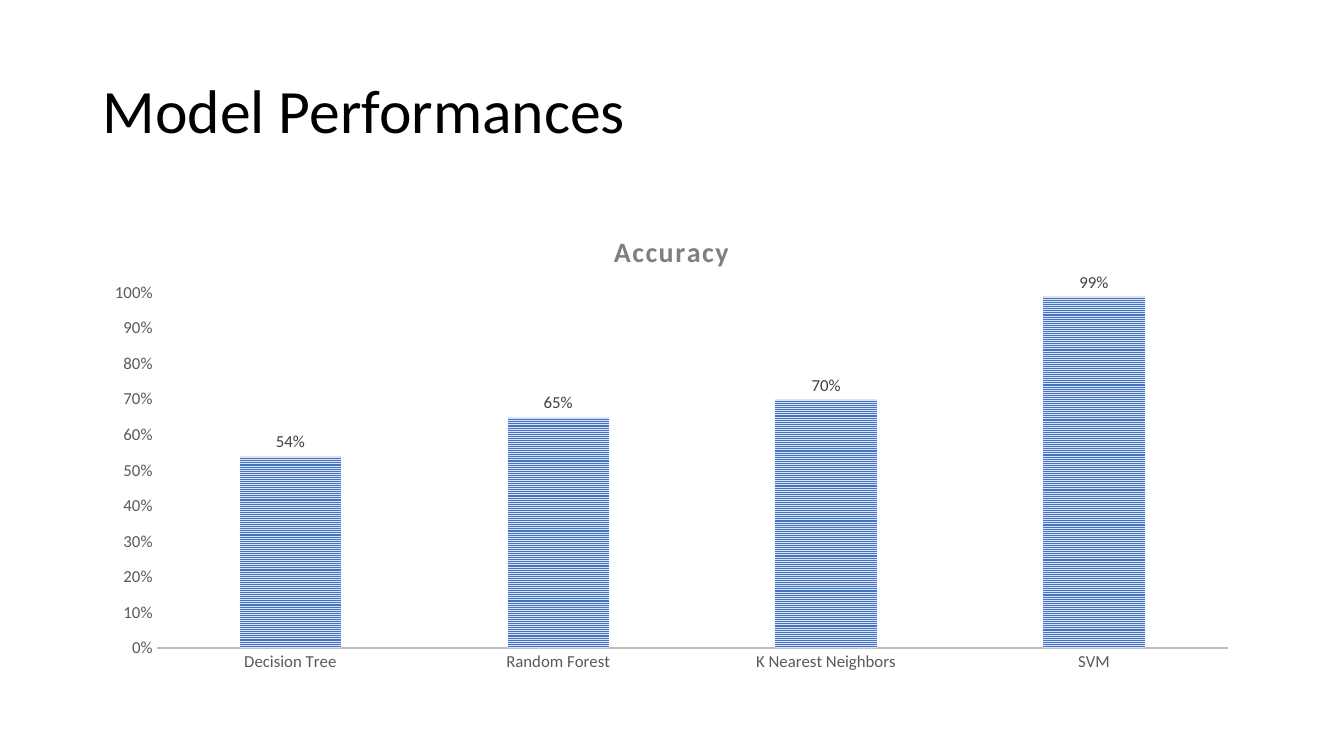
import pptx
import pptx.chart.data
import pptx.dml.color
import pptx.enum.chart
import pptx.enum.dml
import pptx.enum.text
import pptx.oxml
import pptx.oxml.ns
import pptx.util

WIDTH, HEIGHT = 13.33, 7.5
LEFT, CONTENT_WIDTH = 0.92, 11.5
FONT = "Calibri"
ACCURACIES = {
    "Decision Tree": 0.54,
    "Random Forest": 0.65,
    "K Nearest Neighbors": 0.7,
    "SVM": 0.99,
}


def color(value):
    """Turn a hex string into a colour."""
    return pptx.dml.color.RGBColor.from_string(value)


def box(top, height):
    """Give the place of a full-width band of the slide."""
    lengths = (LEFT, top, CONTENT_WIDTH, height)
    return [pptx.util.Inches(length) for length in lengths]


def format_font(font, size, value, bold=False):
    """Set the face, size, weight and colour of a font."""
    settings = {"name": FONT, "size": pptx.util.Pt(size), "bold": bold}
    for name, setting in settings.items():
        setattr(font, name, setting)
    font.color.rgb = color(value)


def set_layout(element, index, **shares):
    """Place a chart part by shares of the chart's size."""
    tag = pptx.oxml.ns.qn("c:layout")
    for layout in element.findall(tag):
        element.remove(layout)
    target = '<c:layoutTarget val="inner"/>' if "w" in shares else ""
    modes = "".join(f'<c:{name}Mode val="edge"/>' for name in "xy")
    values = "".join(f'<c:{name} val="{share}"/>' for name, share in shares.items())
    element.insert(index, pptx.oxml.parse_xml(
        f'<c:layout {pptx.oxml.ns.nsdecls("c")}><c:manualLayout>'
        f"{target}{modes}{values}</c:manualLayout></c:layout>"))


def add_title(slide, text):
    """Fill and place the slide title."""
    title = slide.shapes.title
    for name, length in zip(("left", "top", "width", "height"), box(0.4, 1.45)):
        setattr(title, name, length)
    frame = title.text_frame
    frame.text = text
    frame.vertical_anchor = pptx.enum.text.MSO_ANCHOR.MIDDLE
    paragraph = frame.paragraphs[0]
    paragraph.alignment = pptx.enum.text.PP_ALIGN.LEFT
    paragraph.line_spacing = 0.9
    format_font(paragraph.runs[0].font, 44, "000000")


def format_axis(axis):
    """Give an axis its labels and remove its ticks and gridlines."""
    settings = {
        "major_tick_mark": pptx.enum.chart.XL_TICK_MARK.NONE,
        "minor_tick_mark": pptx.enum.chart.XL_TICK_MARK.NONE,
        "has_major_gridlines": False,
    }
    for name, setting in settings.items():
        setattr(axis, name, setting)
    format_font(axis.tick_labels.font, 12, "595959")


def format_axes(chart):
    """Format the category axis and the percentage axis."""
    format_axis(chart.category_axis)
    line = chart.category_axis.format.line
    line.color.rgb = color("BFBFBF")
    line.width = pptx.util.Pt(1.5)

    axis = chart.value_axis
    format_axis(axis)
    for name, value in {"minimum_scale": 0, "maximum_scale": 1, "major_unit": 0.1}.items():
        setattr(axis, name, value)
    axis.tick_labels.number_format = "0%"
    axis.tick_labels.number_format_is_linked = False
    axis.format.line.fill.background()


def format_bars(plot):
    """Give the bars their gap, stripes and value labels."""
    settings = {"gap_width": 164, "overlap": -22, "vary_by_categories": False,
                "has_data_labels": True}
    for name, setting in settings.items():
        setattr(plot, name, setting)
    fill = plot.series[0].format.fill
    fill.patterned()
    fill.pattern = pptx.enum.dml.MSO_PATTERN.NARROW_HORIZONTAL
    fill.fore_color.rgb = color("4472C4")
    fill.back_color.rgb = color("DAE3F3")

    labels = plot.data_labels
    settings = {
        "show_value": True,
        "position": pptx.enum.chart.XL_LABEL_POSITION.OUTSIDE_END,
        "number_format": "0%",
        "number_format_is_linked": False,
    }
    for name, setting in settings.items():
        setattr(labels, name, setting)
    format_font(labels.font, 12, "404040")


def add_chart_title(chart, text):
    """Add a spaced bold heading to the chart."""
    chart.has_title = True
    title = chart.chart_title
    title.include_in_layout = False
    title.text_frame.text = text
    font = title.text_frame.paragraphs[0].runs[0].font
    format_font(font, 20, "7F7F7F", bold=True)
    font._element.set("spc", "100")
    set_layout(title._element, 1, x=0.445, y=0.053)


def add_accuracy_chart(slide):
    """Add the column chart of model accuracies."""
    data = pptx.chart.data.CategoryChartData(number_format="0%")
    data.categories = list(ACCURACIES)
    data.add_series("Series 1", list(ACCURACIES.values()))
    kind = pptx.enum.chart.XL_CHART_TYPE.COLUMN_CLUSTERED
    chart = slide.shapes.add_chart(kind, *box(2, 4.76), data).chart
    chart.has_legend = False
    format_font(chart.font, 10, "000000")
    add_chart_title(chart, "Accuracy")
    format_axes(chart)
    format_bars(chart.plots[0])
    plot_area = chart.plots[0]._element.getparent()
    set_layout(plot_area, 0, x=0.055, y=0.19, w=0.924, h=0.74)


def main():
    """Build and save the slide."""
    presentation = pptx.Presentation()
    presentation.slide_width = pptx.util.Inches(WIDTH)
    presentation.slide_height = pptx.util.Inches(HEIGHT)
    slide = presentation.slides.add_slide(presentation.slide_layouts[5])
    add_title(slide, "Model Performances")
    add_accuracy_chart(slide)
    presentation.save("out.pptx")


if __name__ == "__main__":
    main()
